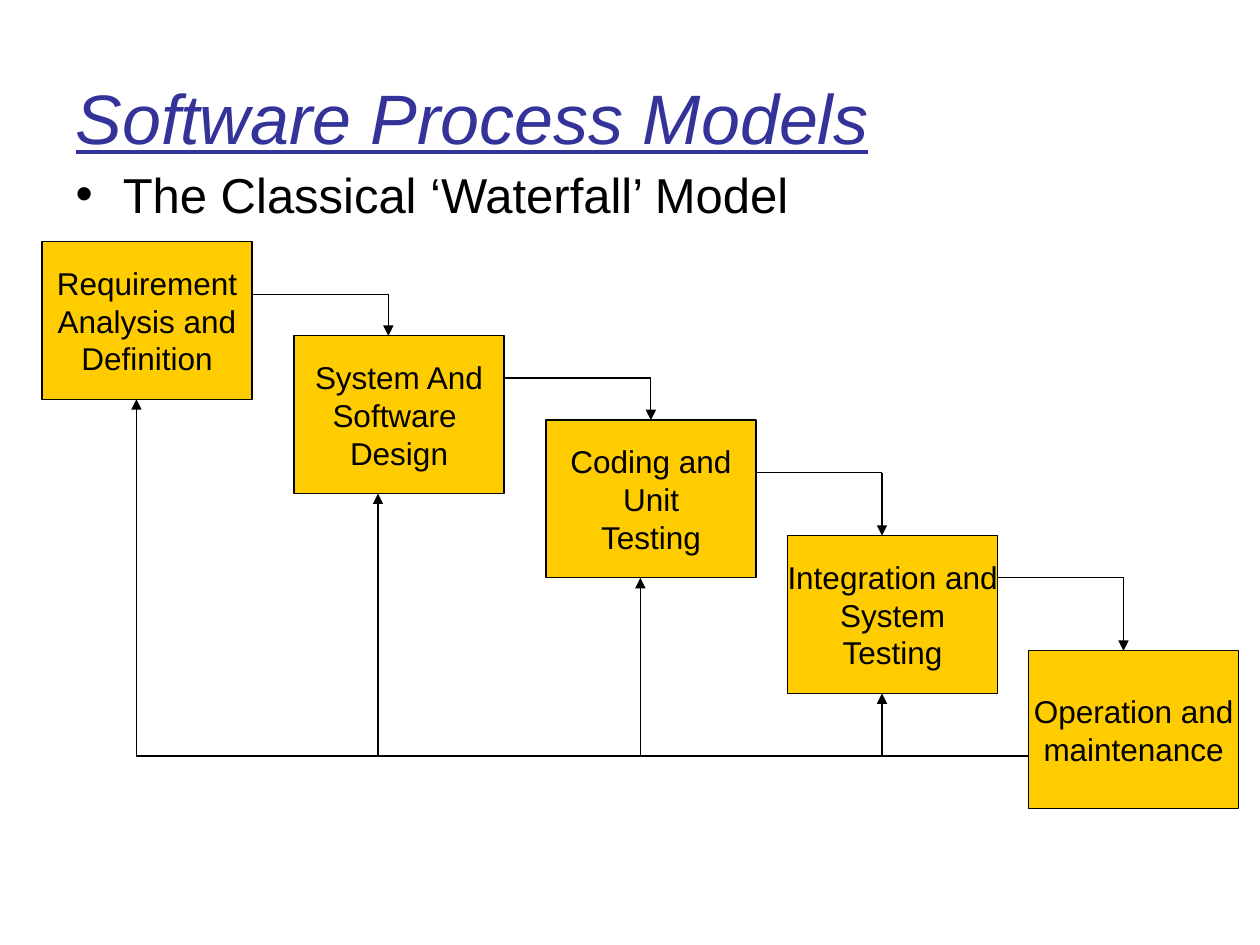
import pptx
import pptx.dml.color
import pptx.enum.shapes
import pptx.enum.text
import pptx.oxml
import pptx.util
from pptx.util import Cm

BLACK = pptx.dml.color.RGBColor(0x00, 0x00, 0x00)
INDIGO = pptx.dml.color.RGBColor(0x33, 0x33, 0x99)
AMBER = pptx.dml.color.RGBColor(0xFF, 0xCC, 0x00)

BOX_WIDTH, BOX_HEIGHT = 4.23, 3.18
LINE_WIDTH = pptx.util.Pt(0.75)
FEEDBACK_Y = 15.24

# Label, left, top, x of the incoming flow, x of the feedback arrow (in cm)
STAGES = [
    ("Requirement\nAnalysis and\nDefinition", 0.85, 4.87, None, 2.75),
    ("System And\nSoftware \nDesign", 5.93, 6.77, 7.83, 7.62),
    ("Coding and\nUnit\nTesting", 11.01, 8.47, 13.12, 12.91),
    ("Integration and\nSystem\nTesting", 15.88, 10.8, 17.78, 17.78),
    ("Operation and\nmaintenance", 20.74, 13.12, 22.65, None),
]
FLOW_YS = [5.93, 7.62, 9.53, 11.64]


def set_font(paragraph, size, color):
    paragraph.font.name = "Arial"
    paragraph.font.size = pptx.util.Pt(size)
    paragraph.font.color.rgb = color


def add_line(x1, y1, x2, y2, arrow=False):
    """Draw a thin black line, with lengths in cm and an optional end arrow."""
    line = slide.shapes.add_connector(
        pptx.enum.shapes.MSO_CONNECTOR.STRAIGHT, Cm(x1), Cm(y1), Cm(x2), Cm(y2))
    line.line.color.rgb = BLACK
    line.line.width = LINE_WIDTH
    if arrow:
        line.line._get_or_add_ln().append(pptx.oxml.parse_xml(
            '<a:tailEnd xmlns:a="http://schemas.openxmlformats.org/drawingml/2006/main"'
            ' type="triangle"/>'))
    line._element.spPr.append(pptx.oxml.parse_xml(
        '<a:effectLst xmlns:a="http://schemas.openxmlformats.org/drawingml/2006/main"/>'))


presentation = pptx.Presentation()
presentation.slide_width = Cm(25.4)
presentation.slide_height = Cm(19.05)
slide = presentation.slides.add_slide(presentation.slide_layouts[1])

title = slide.shapes.title
topic = slide.placeholders[1]
for holder, text, top, height, size, color in [
    (title, "Software Process Models", 0.76, 3.18, 40, INDIGO),
    (topic, "The Classical ‘Waterfall’ Model", 3.18, 1.9, 28, BLACK),
]:
    holder.left, holder.top = Cm(1.27), Cm(top)
    holder.width, holder.height = Cm(22.86), Cm(height)
    holder.text_frame.text = text
    holder.text_frame.auto_size = pptx.enum.text.MSO_AUTO_SIZE.NONE
    heading = holder.text_frame.paragraphs[0]
    heading.alignment = pptx.enum.text.PP_ALIGN.LEFT
    heading.space_before = pptx.util.Pt(0)
    set_font(heading, size, color)
title.text_frame.vertical_anchor = pptx.enum.text.MSO_ANCHOR.MIDDLE
title_font = title.text_frame.paragraphs[0].font
title_font.italic = True
title_font.underline = True

for label, left, top, _, _ in STAGES:
    stage = slide.shapes.add_shape(
        pptx.enum.shapes.MSO_SHAPE.RECTANGLE,
        Cm(left), Cm(top), Cm(BOX_WIDTH), Cm(BOX_HEIGHT))
    stage.shadow.inherit = False
    stage.fill.solid()
    stage.fill.fore_color.rgb = AMBER
    stage.line.color.rgb = BLACK
    stage.line.width = LINE_WIDTH
    stage.text_frame.word_wrap = False
    stage.text_frame.vertical_anchor = pptx.enum.text.MSO_ANCHOR.MIDDLE
    stage.text_frame.text = label
    for paragraph in stage.text_frame.paragraphs:
        paragraph.alignment = pptx.enum.text.PP_ALIGN.CENTER
        set_font(paragraph, 18, BLACK)

# Each stage flows right, then down into the next one
for source, target, flow_y in zip(STAGES, STAGES[1:], FLOW_YS):
    entry_x = target[3]
    add_line(source[1] + BOX_WIDTH, flow_y, entry_x, flow_y)
    add_line(entry_x, flow_y, entry_x, target[2], arrow=True)

# The last stage feeds back up to every earlier one
add_line(STAGES[-1][1], FEEDBACK_Y, STAGES[0][4], FEEDBACK_Y)
for _, _, top, _, feedback_x in STAGES[:-1]:
    add_line(feedback_x, FEEDBACK_Y, feedback_x, top + BOX_HEIGHT, arrow=True)

presentation.save("out.pptx")
